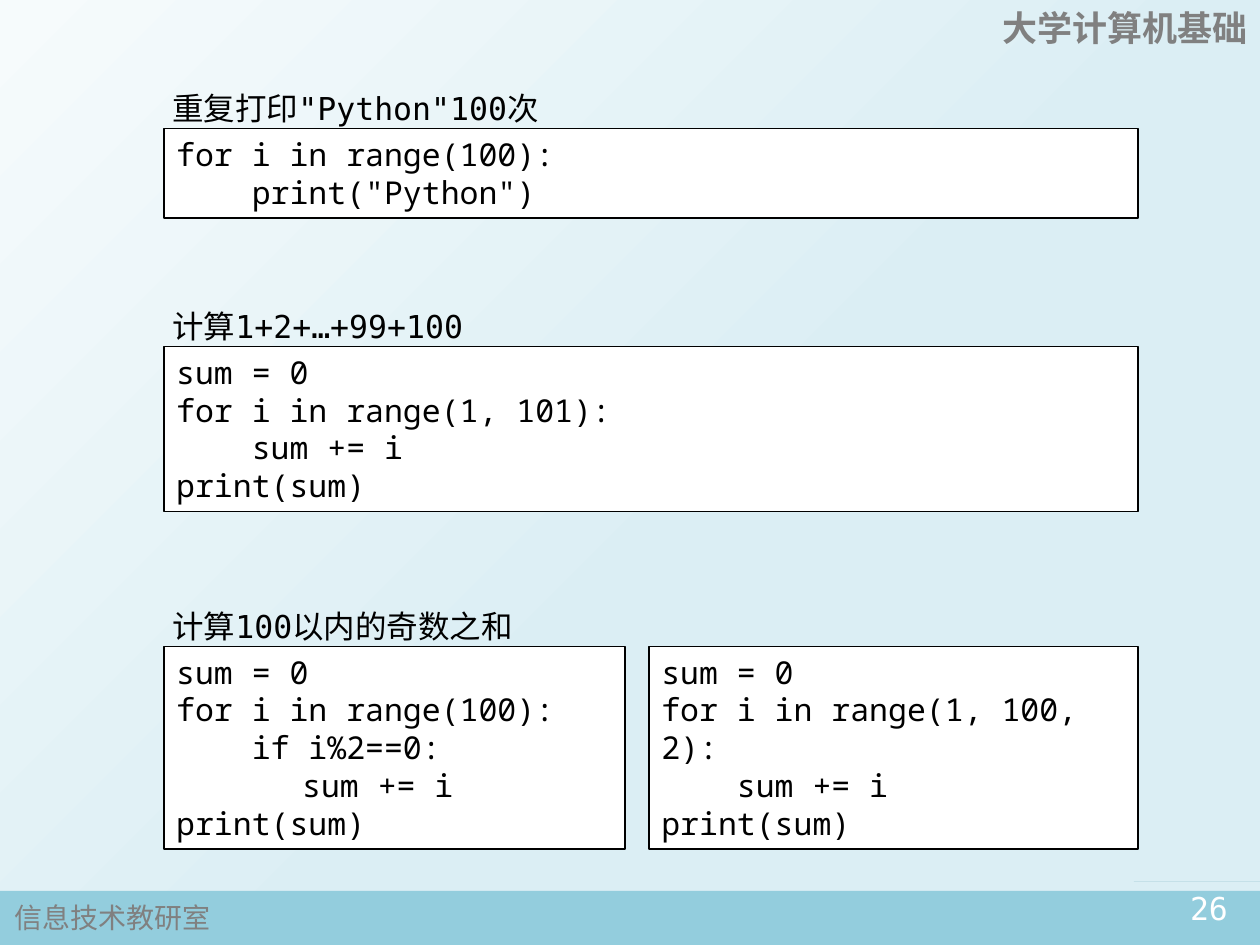
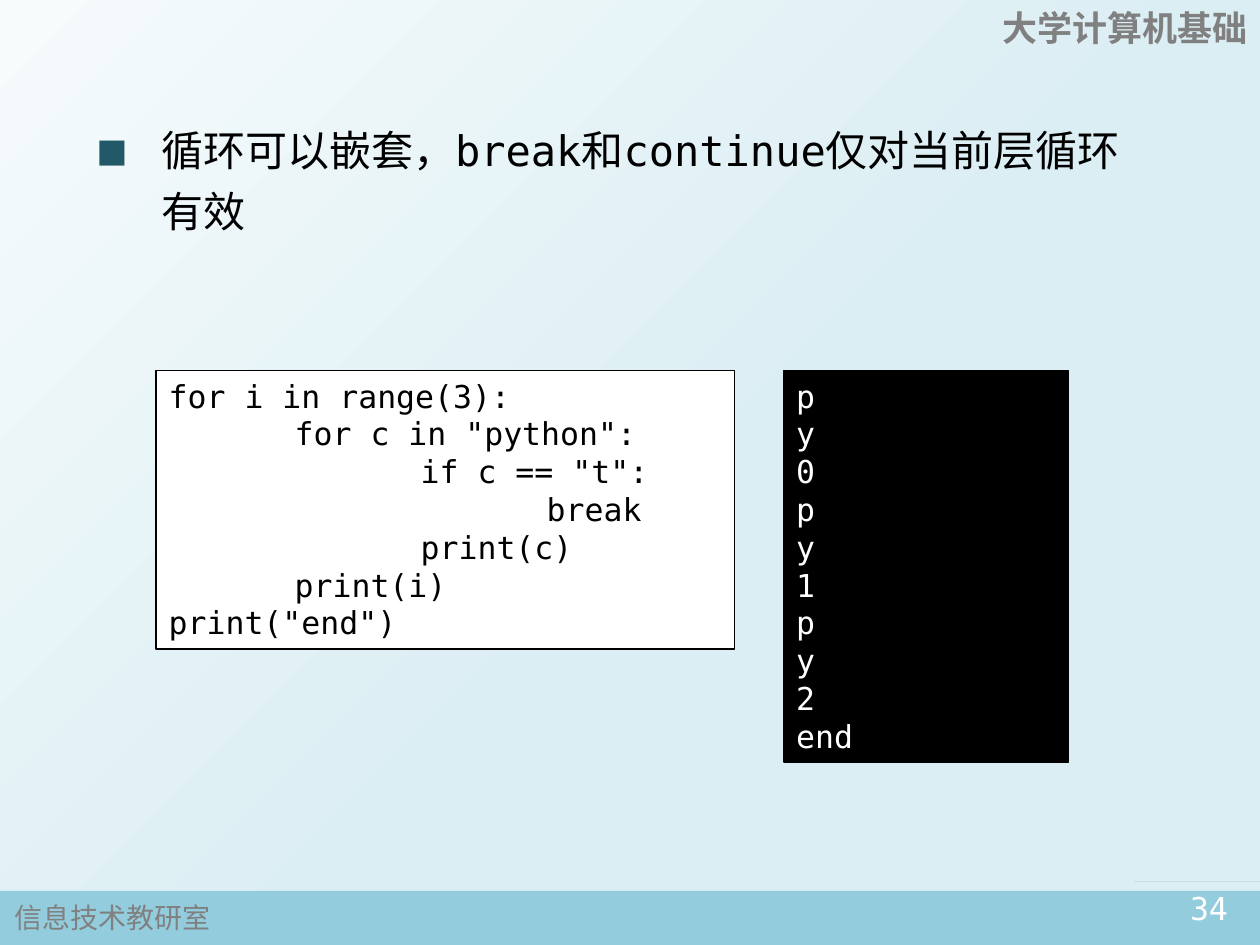
import math
import pptx
import pptx.util
import pptx.dml.color
import pptx.enum.shapes
import pptx.enum.text
import pptx.oxml
import pptx.oxml.ns

Inches = pptx.util.Inches
ALIGN = pptx.enum.text.PP_ALIGN

THEME = {
    "sky": "F6FBFC", "pale": "DBEEF4", "band": "93CDDD", "teal": "31859C",
    "dark": "215968", "gray": "808080", "black": "000000", "white": "FFFFFF",
    "mono": "DejaVu Sans Mono", "code": "Noto Sans Mono", "han": "Noto Sans CJK JP",
    "foot": 16, "body": 18, "head": 20, "point": 24,
}

# Content: code lines are (indent in inches, text)
COURSE = "大学计算机基础"
OFFICE = "信息技术教研室"
STEP = 0.6  # four characters of code
TASKS = [  # label, top, panels of (left, width, rows, lines)
    ('重复打印"Python"100次', 0.6, [
        (1.3, 7.73, 2, [(0, "for i in range(100):"), (STEP, 'print("Python")')])]),
    ("计算1+2+…+99+100", 2.33, [
        (1.3, 7.73, 4, [(0, "sum = 0"), (0, "for i in range(1, 101):"),
                        (STEP, "sum += i"), (0, "print(sum)")])]),
    ("计算100以内的奇数之和", 4.71, [
        (5.15, 3.88, 5, [(0, "sum = 0"), (0, "for i in range(1, 100, 2):"),
                         (STEP, "sum += i"), (0, "print(sum)")]),
        (1.3, 3.66, 5, [(0, "sum = 0"), (0, "for i in range(100):"),
                        (STEP, "if i%2==0:"), (1, "sum += i"), (0, "print(sum)")])]),
]
POINT = "循环可以嵌套，break和continue仅对当前层循环有效"
NEST = [(0, "for i in range(3):"), (1, 'for c in "python":'), (2, 'if c == "t":'),
        (3, "break"), (2, "print(c)"), (1, "print(i)"), (0, 'print("end")')]
PRINTED = [(0, text) for text in ("p", "y", "0", "p", "y", "1", "p", "y", "2", "end")]


def color(name):
    return pptx.dml.color.RGBColor.from_string(THEME[name])


def paint(shape, fill, line=None):
    shape.shadow.inherit = False
    shape.fill.solid()
    shape.fill.fore_color.rgb = color(fill)
    if line:
        shape.line.color.rgb = color(line)
        shape.line.width = pptx.util.Pt(1)
    else:
        shape.line.fill.background()


def write(para, text, size, ink="black", font="mono", bold=False):
    run = para.add_run()
    run.text = text
    run.font.name = THEME[font]
    run.font.size = pptx.util.Pt(THEME[size])
    run.font.bold = bold
    run.font.color.rgb = color(ink)
    east = pptx.oxml.parse_xml('<a:ea %s typeface="%s"/>' % (
        pptx.oxml.ns.nsdecls("a"), THEME["han"]))
    run.font._element.find(pptx.oxml.ns.qn("a:latin")).addnext(east)


def label(slide, at, text, size, align=ALIGN.LEFT, wrap=True, **style):
    box = slide.shapes.add_textbox(*map(Inches, at))
    box.text_frame.word_wrap = wrap
    para = box.text_frame.paragraphs[0]
    para.alignment = align
    write(para, text, size, **style)
    return para


def rect(slide, at, fill, line=None):
    shape = slide.shapes.add_shape(
        pptx.enum.shapes.MSO_SHAPE.RECTANGLE, *map(Inches, at))
    paint(shape, fill, line)
    return shape


def panel(slide, left, top, width, rows, lines, fill="white", ink="black", font="mono"):
    frame = rect(slide, (left, top, width, 0.11 + 0.3 * rows), fill, "black").text_frame
    frame.word_wrap = True
    frame.vertical_anchor = pptx.enum.text.MSO_ANCHOR.TOP
    for row, (indent, text) in enumerate(lines):
        para = frame.add_paragraph() if row else frame.paragraphs[0]
        para.alignment = ALIGN.LEFT
        para._p.get_or_add_pPr().set("marL", str(Inches(indent)))
        write(para, text, "body", ink, font)


def arc(mid, radii, start, end, steps=8):
    turns = [math.radians(start + (end - start) * i / steps) for i in range(steps + 1)]
    return [(mid[0] + radii[0] * math.cos(t), mid[1] + radii[1] * math.sin(t))
            for t in turns]


def ribbon(slide):
    curl = arc((9.88, 6.97), (0.08, 0.07), 180, 360) + [(9.96, 7.07), (9.8, 7.07)]
    flag = (arc((9.51, 6.98), (0.1, 0.08), 180, 270)
            + arc((9.82, 6.97), (0.04, 0.07), 270, 180)
            + [(9.78, 7.48), (9.76, 7.49), (9.59, 7.41), (9.42, 7.49), (9.41, 7.48)])
    build = slide.shapes.build_freeform(*curl[0], scale=Inches(1))
    build.add_line_segments(curl[1:], close=True)
    build.move_to(*flag[0])
    build.add_line_segments(flag[1:], close=True)
    paint(build.convert_to_shape(), "teal")


def page(deck, number):
    # Shared background, band, ribbon, header and footer
    slide = deck.slides.add_slide(deck.slide_layouts[6])
    fill = slide.background.fill
    fill.gradient()
    fill.gradient_angle = 315
    for stop, place, name in zip(fill.gradient_stops, (0, 0.56), ("sky", "pale")):
        stop.position = place
        stop.color.rgb = color(name)
    rect(slide, (0, 7.07, 10, 0.43), "band")
    ribbon(slide)
    label(slide, (0.02, 7.1, 1.77, 0.37), OFFICE, "foot", wrap=False,
          ink="gray", font="han")
    label(slide, (7.83, 0, 2.17, 0.44), COURSE, "head", ALIGN.RIGHT,
          ink="gray", font="han", bold=True)
    label(slide, (9.24, 7.01, 0.71, 0.4), number, "body", ALIGN.CENTER, ink="white")
    return slide


def loose(para):
    para.line_spacing = 1.2
    para.space_before = pptx.util.Pt(10)


def bullet(para, indent):
    props = para._p.get_or_add_pPr()
    props.set("marL", str(Inches(indent)))
    props.set("indent", str(-Inches(indent)))
    space = pptx.oxml.ns.nsdecls("a")
    for mark in ('<a:buClr %s><a:srgbClr val="%s"/></a:buClr>' % (space, THEME["dark"]),
                 '<a:buFont %s typeface="%s"/>' % (space, THEME["mono"]),
                 '<a:buChar %s char="■"/>' % space):
        props.append(pptx.oxml.parse_xml(mark))


deck = pptx.Presentation()
deck.slide_width, deck.slide_height = Inches(10), Inches(7.5)

# Loop exercises
slide = page(deck, "26")
for title, top, panels in TASKS:
    loose(label(slide, (1.27, top, 7.35, 0.4), title, "body"))
    for left, width, rows, lines in panels:
        panel(slide, left, top + 0.42, width, rows, lines, font="code")

# Nested loops with their output
slide = page(deck, "34")
para = label(slide, (0.69, 0.86, 8.62, 1.17), POINT, "point")
loose(para)
bullet(para, 0.49)
panel(slide, 1.24, 2.94, 4.59, len(NEST), NEST)
panel(slide, 6.22, 2.94, 2.26, len(PRINTED), PRINTED, fill="black", ink="white")

deck.save("out.pptx")
